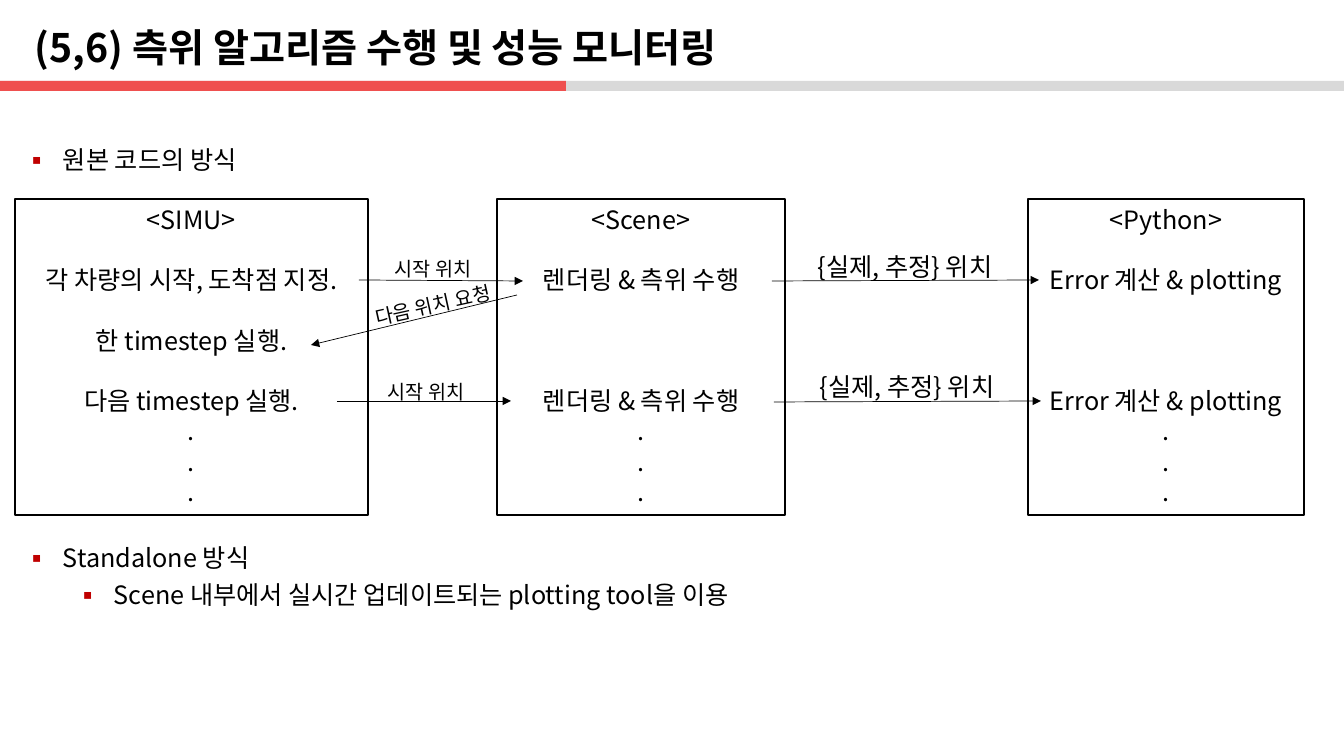
"""Builds the slide on running the positioning algorithm and monitoring its performance."""
from pptx import Presentation
from pptx import util as u
from pptx.dml.color import RGBColor
from pptx.enum import shapes, text
from pptx.oxml.ns import qn
from lxml import etree

PX = 914400 / 100.8
FONT = "Noto Sans CJK KR"
LINE = 1.2
SIZE = 18
COLORS = {"ink": "000000", "paper": "FFFFFF", "gray": "D9D9D9", "red": "EF504F", "bullet": "C00000"}

BARS = [(1344, "gray"), (566, "red")]
TITLE = "(5,6) 측위 알고리즘 수행 및 성능 모니터링"
BULLETS = [
    ("원본 코드의 방식", 0, 38, 0),
    ("Standalone 방식", 0, 38, 262.8),
    ("Scene 내부에서 실시간 업데이트되는 plotting tool을 이용", 1, 89, 5),
]
DOTS = [(7, "."), (8, "."), (9, ".")]
PANELS = [
    (1028, 276, [(0, "<Python>"), (2, "Error 계산 & plotting"), (6, "Error 계산 & plotting")]),
    (497, 288, [(0, "<Scene>"), (2, "렌더링 & 측위 수행"), (6, "렌더링 & 측위 수행")]),
    (15, 353, [(0, "<SIMU>"), (2, "각 차량의 시작, 도착점 지정."),
               (4, "한 timestep 실행."), (6, "다음 timestep 실행.")]),
]
LABELS = [
    ("시작 위치", 359, 252, 148, 34, 14, 0),
    ("다음 위치 요청", 351, 288, 164, 34, 14, 347.5),
    ("시작 위치", 352, 375, 148, 34, 14, 0),
    ("{실제, 추정} 위치", 791, 246, 228, 40, 18, 0),
    ("{실제, 추정} 위치", 793, 366, 228, 40, 18, 0),
]
ARROWS = [
    (517, 295, 311, 345),
    (359, 280, 523, 281),
    (772, 281, 1039, 280),
    (337, 401, 511, 401),
    (774, 402, 1041, 401),
]


def px(*values):
    return [u.Emu(round(v * PX)) for v in values]


def rgb(name):
    return RGBColor.from_string(COLORS[name])


def add_run(p, words, size, bold=False):
    r = p.add_run()
    r.text = words
    r.font.size, r.font.bold, r.font.name = u.Pt(size), bold, FONT
    r.font.color.rgb = rgb("ink")
    etree.SubElement(r._r.get_or_add_rPr(), qn("a:ea"), typeface=FONT)


def add_lines(tf, lines, size=SIZE, align=text.PP_ALIGN.CENTER):
    tf.word_wrap = True
    for i, (words, before) in enumerate(lines):
        p = tf.paragraphs[0] if i == 0 else tf.add_paragraph()
        p.alignment = align
        p.line_spacing = u.Pt(size * LINE)
        p.space_before = u.Pt(before)
        add_run(p, words, size)


def add_rect(s, x, y, w, h, fill, line=None):
    sp = s.shapes.add_shape(shapes.MSO_SHAPE.RECTANGLE, *px(x, y, w, h))
    sp.shadow.inherit = False
    sp.fill.solid()
    sp.fill.fore_color.rgb = rgb(fill)
    if line:
        sp.line.color.rgb = rgb(line)
        sp.line.width = u.Pt(1)
    else:
        sp.line.fill.background()
    return sp


def add_title(s):
    tf = s.shapes.add_textbox(*px(25, 25, 1058, 50)).text_frame
    tf.word_wrap = True
    tf.vertical_anchor = text.MSO_ANCHOR.MIDDLE
    tf.paragraphs[0].line_spacing = 0.9
    add_run(tf.paragraphs[0], TITLE, 28, True)


def add_bullets(s):
    tf = s.shapes.add_textbox(*px(15, 139, 1240, 617)).text_frame
    add_lines(tf, [(words, before) for words, _, _, before in BULLETS], align=text.PP_ALIGN.LEFT)
    for p, (_, level, margin, _) in zip(tf.paragraphs, BULLETS):
        p.level = level
        pPr = p._p.get_or_add_pPr()
        left, hang = px(margin, -38)
        pPr.set("marL", str(left))
        pPr.set("indent", str(hang))
        color = etree.SubElement(pPr, qn("a:buClr"))
        etree.SubElement(color, qn("a:srgbClr"), val=COLORS["bullet"])
        etree.SubElement(pPr, qn("a:buFont"), typeface=FONT)
        etree.SubElement(pPr, qn("a:buChar"), char="▪")


def add_panel(s, x, w, rows):
    tf = add_rect(s, x, 199, w, 316, "paper", "ink").text_frame
    tf.vertical_anchor = text.MSO_ANCHOR.TOP
    tf.margin_left = tf.margin_right = px(4)[0]
    lines, last = [], -1
    for row, words in rows + DOTS:
        lines.append((words, (row - last - 1) * SIZE * LINE))
        last = row
    add_lines(tf, lines)


def add_arrow(s, *ends):
    c = s.shapes.add_connector(shapes.MSO_CONNECTOR.STRAIGHT, *px(*ends))
    c.line.color.rgb = rgb("ink")
    c.line.width = u.Pt(0.5)
    etree.SubElement(c.line._get_or_add_ln(), qn("a:tailEnd"), type="triangle")
    etree.SubElement(c._element.spPr, qn("a:effectLst"))


def main():
    prs = Presentation()
    prs.slide_width, prs.slide_height = px(1344, 756)
    s = prs.slides.add_slide(prs.slide_layouts[6])
    for width, color in BARS:
        add_rect(s, 0, 81, width, 10, color)
    add_title(s)
    add_bullets(s)
    for panel in PANELS:
        add_panel(s, *panel)
    for words, x, y, w, h, size, angle in LABELS:
        sp = s.shapes.add_textbox(*px(x, y, w, h))
        sp.rotation = angle
        add_lines(sp.text_frame, [(words, 0)], size)
    for arrow in ARROWS:
        add_arrow(s, *arrow)
    prs.save("out.pptx")


if __name__ == "__main__":
    main()
